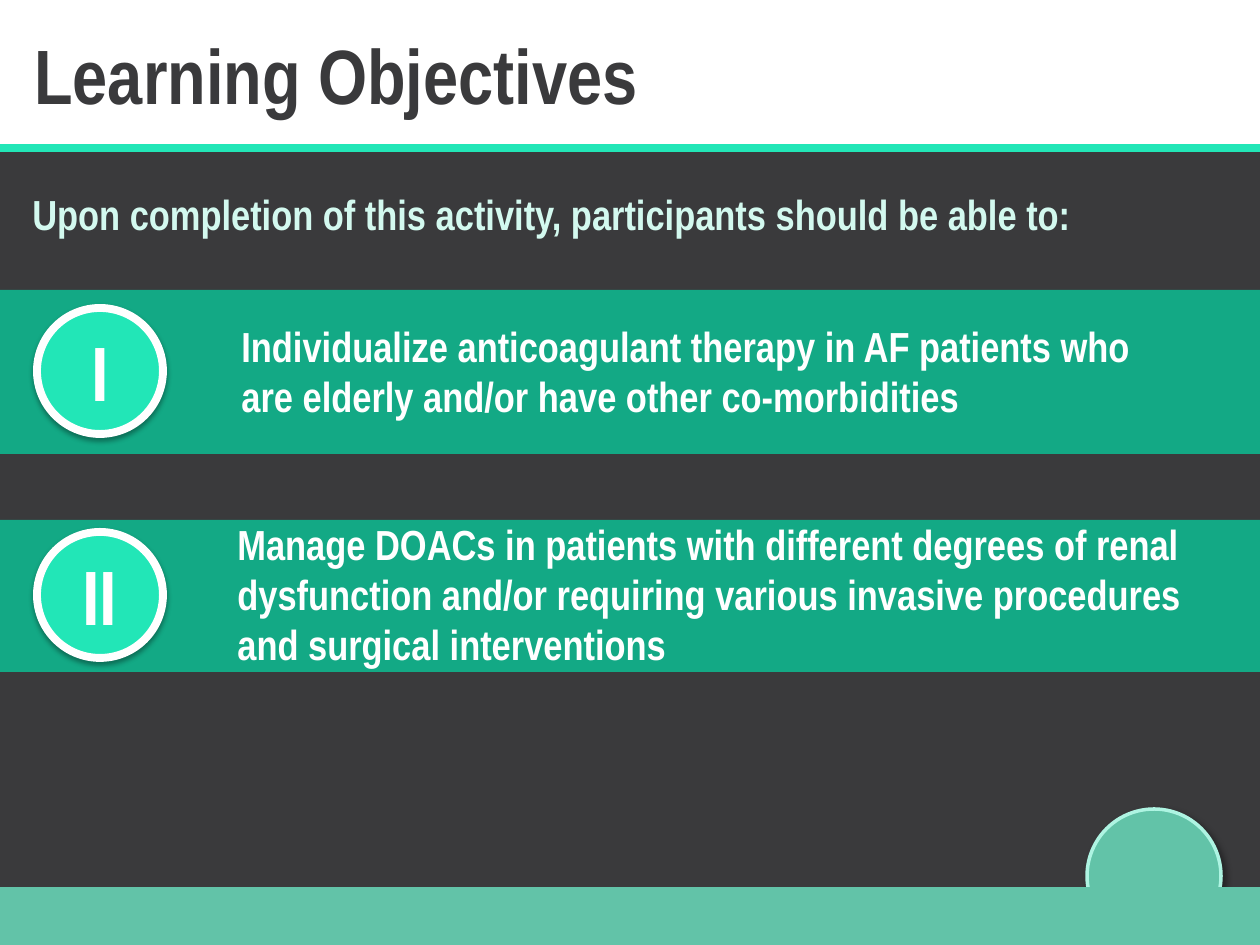
from dataclasses import dataclass

from lxml import etree
from pptx import Presentation
from pptx import util as u
from pptx.dml.color import RGBColor
from pptx.enum import shapes, text
from pptx.oxml import ns

HUES = {
    "dark": "3A3A3C", "mint": "22E6B7", "green": "13A985", "sage": "62C3A8",
    "pale": "D3F9EF", "rim": "AEF4E2", "white": "FFFFFF", "black": "000000",
}
FONT = "Arial Narrow"
WIDE, HIGH = 1260, 945
KIND = shapes.MSO_SHAPE


@dataclass
class Box:
    left: int
    top: int
    width: int
    height: int


@dataclass
class Shade:
    alpha: int
    blur: float
    dist: float
    angle: int


@dataclass
class Goal:
    mark: str
    words: str
    band: Box
    disc: Box
    body: Box


def px(n: int) -> u.Emu:
    return u.Emu(round(n * 914400 / 126))


def area(box: Box) -> tuple:
    return px(box.left), px(box.top), px(box.width), px(box.height)


def hue(name: str) -> RGBColor:
    return RGBColor.from_string(HUES[name])


def style(frame, words: str, size: int, tint: str) -> None:
    frame.text = words
    frame.word_wrap = True
    font = frame.paragraphs[0].runs[0].font
    font.name, font.size, font.bold = FONT, u.Pt(size), True
    font.color.rgb = hue(tint)


def label(page, box: Box, words: str, size: int, tint: str = "white") -> None:
    style(page.shapes.add_textbox(*area(box)).text_frame, words, size, tint)


def solid(page, kind, box: Box, tint: str):
    form = page.shapes.add_shape(kind, *area(box))
    form.shadow.inherit = False
    form.fill.solid()
    form.fill.fore_color.rgb = hue(tint)
    form.line.fill.background()
    return form


def disc(page, box: Box, tint: str, rim: str, weight: float, shade: Shade):
    form = solid(page, KIND.FLOWCHART_CONNECTOR, box, tint)
    form.line.color.rgb = hue(rim)
    form.line.width = u.Pt(weight)
    glow = form._element.spPr.find(ns.qn("a:effectLst"))
    cast = etree.SubElement(
        glow, ns.qn("a:outerShdw"), blurRad=str(u.Pt(shade.blur)),
        dist=str(u.Pt(shade.dist)), dir=str(shade.angle * 60000), rotWithShape="0")
    tone = etree.SubElement(cast, ns.qn("a:srgbClr"), val=HUES["black"])
    etree.SubElement(tone, ns.qn("a:alpha"), val=str(shade.alpha * 1000))
    return form


def rule(page, top: int, tint: str, weight: float) -> None:
    line = page.shapes.add_connector(
        shapes.MSO_CONNECTOR.STRAIGHT, 0, px(top), px(WIDE), px(top))
    line.line.color.rgb = hue(tint)
    line.line.width = u.Pt(weight)
    etree.SubElement(line._element.spPr, ns.qn("a:effectLst"))


def draw(page, goal: Goal) -> None:
    solid(page, KIND.RECTANGLE, goal.band, "green")
    form = disc(page, goal.disc, "mint", "white", 4.5, Shade(35, 3.1, 1.8, 90))
    frame = form.text_frame
    style(frame, goal.mark, 44, "white")
    frame.vertical_anchor = text.MSO_ANCHOR.MIDDLE
    frame.paragraphs[0].alignment = text.PP_ALIGN.CENTER
    label(page, goal.body, goal.words, 24)


GOALS = [
    Goal("I", "Individualize anticoagulant therapy in AF patients who are elderly "
         "and/or have other co-morbidities",
         Box(0, 290, WIDE, 164), Box(37, 308, 126, 126), Box(229, 314, 964, 115)),
    Goal("II", "Manage DOACs in patients with different degrees of renal dysfunction "
         "and/or requiring various invasive procedures and surgical interventions",
         Box(0, 520, WIDE, 152), Box(37, 532, 126, 126), Box(225, 512, 997, 165)),
]


def main() -> None:
    deck = Presentation()
    deck.slide_width, deck.slide_height = px(WIDE), px(HIGH)
    page = deck.slides.add_slide(deck.slide_layouts[6])

    # Backdrop and title
    solid(page, KIND.RECTANGLE, Box(0, 148, WIDE, 739), "dark")
    rule(page, 148, "mint", 4.5)
    label(page, Box(22, 21, 1111, 106), "Learning Objectives", 44, "dark")

    # Objectives
    for goal in GOALS:
        draw(page, goal)
    label(page, Box(20, 182, 1196, 76),
          "Upon completion of this activity, participants should be able to:",
          24, "pale")

    # Footer
    disc(page, Box(1087, 809, 134, 134), "sage", "rim", 2, Shade(40, 4, 3, 45))
    solid(page, KIND.RECTANGLE, Box(0, 887, WIDE, HIGH - 887), "sage")

    deck.save("out.pptx")


if __name__ == "__main__":
    main()
